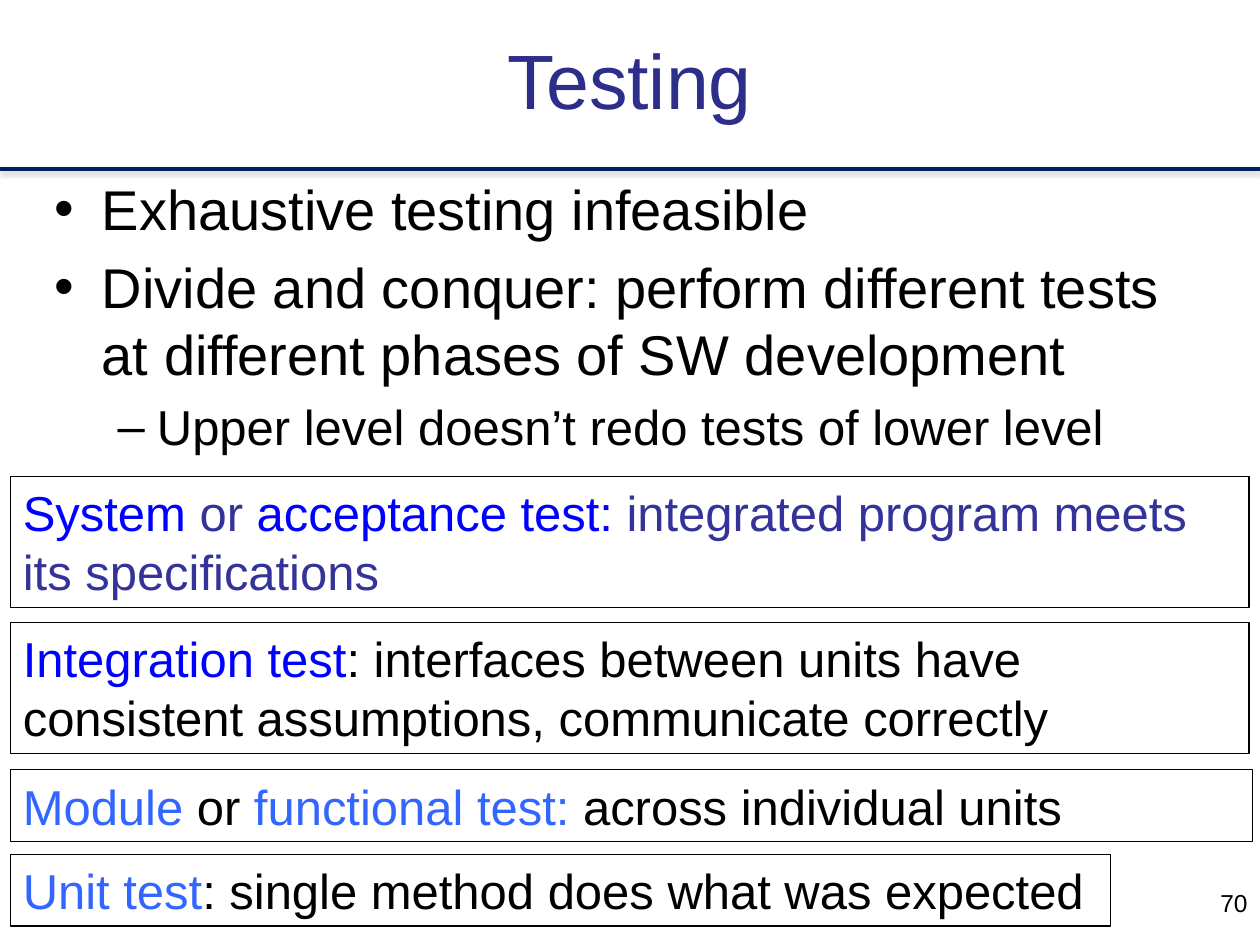
from lxml.etree import SubElement
from pptx import Presentation
from pptx.dml.color import RGBColor
from pptx.enum.shapes import MSO_CONNECTOR as Connector
from pptx.enum.text import MSO_ANCHOR as Anchor, MSO_AUTO_SIZE as AutoSize, PP_ALIGN as Align
from pptx.oxml.ns import qn
from pptx.util import Inches, Pt

COLORS = {
    "title": "2D2D8A",
    "rule": "002061",
    "shadow": "808080",
    "ink": "000000",
    "high": "0000FF",
    "indigo": "333399",
    "low": "3366FF",
}
COLUMNS, ROWS = 100, 75
FONT = "Arial"


class TestingSlide:
    def __init__(self, deck):
        self.width, self.height = deck.slide_width, deck.slide_height
        self.slide = deck.slides.add_slide(deck.slide_layouts[1])

    def x(self, columns):
        return round(self.width * columns / COLUMNS)

    def y(self, rows):
        return round(self.height * rows / ROWS)

    def area(self, left, top, width, height):
        return self.x(left), self.y(top), self.x(width), self.y(height)

    def color(self, name):
        return RGBColor.from_string(COLORS[name])

    def style(self, paragraph, size, color=None):
        paragraph.font.name = FONT
        paragraph.font.size = Pt(size)
        if color:
            paragraph.font.color.rgb = self.color(color)

    def place(self, holder, area):
        holder.left, holder.top, holder.width, holder.height = self.area(*area)
        holder.text_frame.auto_size = AutoSize.NONE

    def title(self, text, area):
        heading = self.slide.shapes.title
        self.place(heading, area)
        heading.text_frame.text = text
        heading.text_frame.vertical_anchor = Anchor.MIDDLE
        paragraph = heading.text_frame.paragraphs[0]
        paragraph.alignment = Align.CENTER
        self.style(paragraph, 44, "title")

    def bullets(self, points, area):
        body = self.slide.placeholders[1]
        self.place(body, area)
        frame = body.text_frame
        frame.text = "\n".join(text for text, _ in points)
        for paragraph, (_, level) in zip(frame.paragraphs, points):
            paragraph.level = level
            self.style(paragraph, 32 - 4 * level, "ink")

    def rule(self, row):
        line = self.slide.shapes.add_connector(
            Connector.STRAIGHT, 0, self.y(row), self.width, self.y(row))
        line.line.color.rgb = self.color("rule")
        line.line.width = Pt(2)
        effects = SubElement(line._element.spPr, qn("a:effectLst"))
        shadow = SubElement(effects, qn("a:outerShdw"), blurRad=str(Pt(3.1)),
                            dist=str(Pt(1.6)), dir="5400000", rotWithShape="0")
        tint = SubElement(shadow, qn("a:srgbClr"), val=COLORS["shadow"])
        SubElement(tint, qn("a:alpha"), val="38000")

    def test_box(self, parts, area, wrap=True):
        box = self.slide.shapes.add_textbox(*self.area(*area))
        box.line.color.rgb = self.color("ink")
        box.line.width = Pt(0.75)
        box.text_frame.word_wrap = wrap
        box.text_frame.auto_size = AutoSize.SHAPE_TO_FIT_TEXT
        paragraph = box.text_frame.paragraphs[0]
        self.style(paragraph, 28)
        for text, color in parts:
            run = paragraph.add_run()
            run.text = text
            run.font.color.rgb = self.color(color)

    def page_number(self, number, area):
        box = self.slide.shapes.add_textbox(*self.area(*area))
        box.text_frame.word_wrap = True
        box.text_frame.text = str(number)
        paragraph = box.text_frame.paragraphs[0]
        paragraph.alignment = Align.RIGHT
        self.style(paragraph, 14, "ink")


def main():
    deck = Presentation()
    deck.slide_width, deck.slide_height = Inches(10), Inches(7.5)
    page = TestingSlide(deck)
    page.rule(13.4)
    page.title("Testing", (0, 0, COLUMNS, 12.5))
    page.bullets([
        ("Exhaustive testing infeasible", 0),
        ("Divide and conquer: perform different tests at different phases of SW development", 0),
        ("Upper level doesn’t redo tests of lower level", 1),
    ], (3.33, 13.33, 93.33, 20.83))
    page.page_number(70, (76.67, 70, 23.33, 5))

    left, one_line, two_lines = 0.83, 5.7, 10.4
    page.test_box([("Unit test", "low"),
                   (": single method does what was expected", "ink")],
                  (left, 67.8, 87.3, one_line), wrap=False)
    page.test_box([("Module ", "low"), ("or ", "ink"), ("functional test: ", "low"),
                   ("across individual units", "ink")],
                  (left, 61.1, 98.6, one_line))
    page.test_box([("Integration test", "high"),
                   (": interfaces between units have consistent assumptions, "
                    "communicate correctly", "ink")],
                  (left, 49.4, 98.3, two_lines))
    page.test_box([("System ", "high"), ("or ", "indigo"), ("acceptance test: ", "high"),
                   ("integrated program meets its specifications", "indigo")],
                  (left, 37.8, 98.3, two_lines))
    deck.save("out.pptx")


if __name__ == "__main__":
    main()
